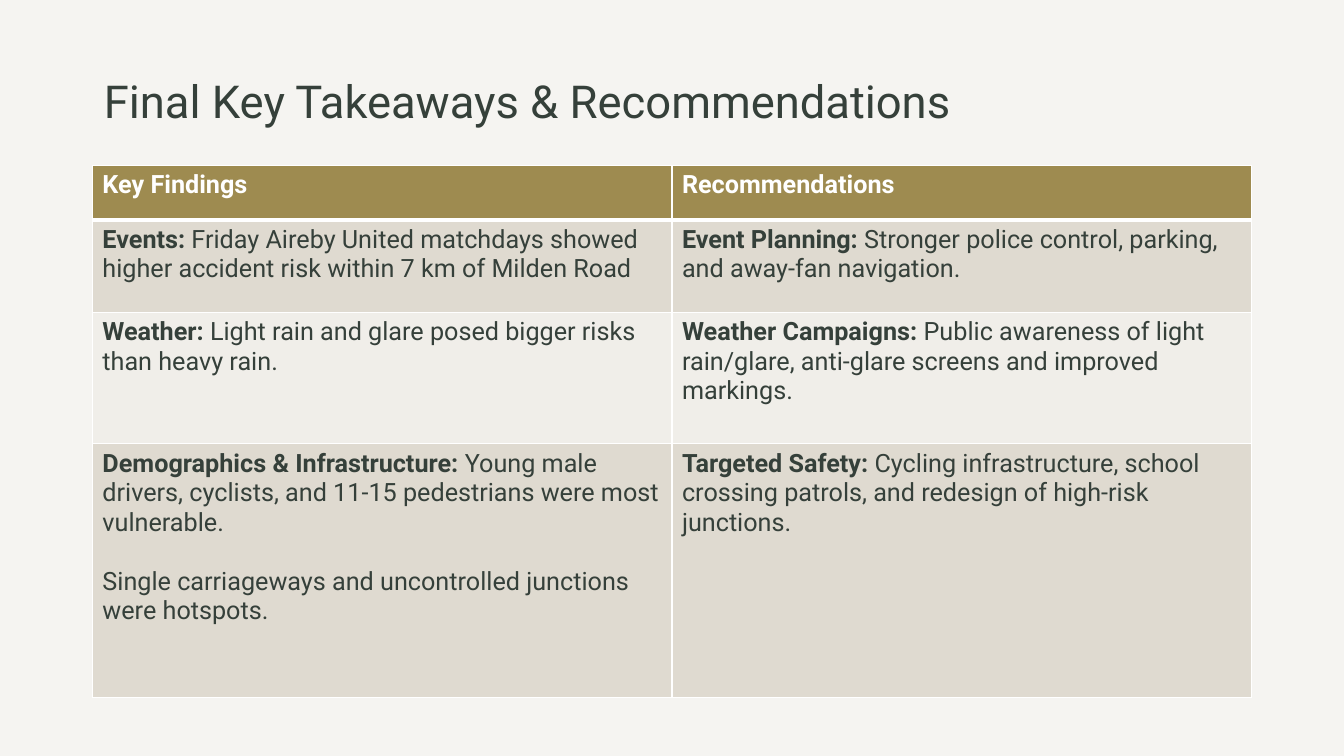
from lxml import etree
from pptx import Presentation
from pptx.dml.color import RGBColor
from pptx.enum import text
from pptx.oxml import ns
from pptx.util import Pt

COLORS = {
    "background": "F5F4F1",
    "text": "35403A",
    "white": "FFFFFF",
    "header": "9E8B50",
    "band_dark": "DFDAD0",
    "band_light": "F0EEE9",
}
FONT = "Roboto"
HEADINGS = ["Key Findings", "Recommendations"]
ROWS = [
    (
        [("Events:", " Friday Aireby United matchdays showed higher accident risk within 7 km of Milden Road")],
        [("Event Planning:", " Stronger police control, parking, and away-fan navigation.")],
    ),
    (
        [("Weather:", " Light rain and glare posed bigger risks than heavy rain.")],
        [("Weather Campaigns:", " Public awareness of light rain/glare, anti-glare screens and improved markings.")],
    ),
    (
        [
            ("Demographics & Infrastructure:", " Young male drivers, cyclists, and 11-15 pedestrians were most vulnerable."),
            ("", "Single carriageways and uncontrolled junctions were hotspots."),
        ],
        [("Targeted Safety:", " Cycling infrastructure, school crossing patrols, and redesign of high-risk junctions.")],
    ),
]
ROW_HEIGHTS = [39, 66, 94, 181]


def rgb(name):
    return RGBColor.from_string(COLORS[name])


def style_paragraph(p, size, color):
    p.font.name = FONT
    p.font.size = Pt(size)
    p.font.color.rgb = rgb(color)
    p.alignment = text.PP_ALIGN.LEFT


def set_borders(cell, widths):
    tcPr = cell._tc.get_or_add_tcPr()
    for i, (side, width) in enumerate(widths.items()):
        ln = etree.Element(ns.qn(f"a:ln{side}"), w=str(Pt(width)))
        fill = etree.SubElement(ln, ns.qn("a:solidFill"))
        etree.SubElement(fill, ns.qn("a:srgbClr"), val=COLORS["white"])
        tcPr.insert(i, ln)


def fill_cell(cell, paragraphs, fill, color):
    cell.fill.solid()
    cell.fill.fore_color.rgb = rgb(fill)
    tf = cell.text_frame
    for i, (label, detail) in enumerate(paragraphs):
        p = tf.add_paragraph() if i else tf.paragraphs[0]
        style_paragraph(p, 18, color)
        if i:
            p.space_before = Pt(21)
        for words, bold in ((label, True), (detail, False)):
            if words:
                r = p.add_run()
                r.text = words
                r.font.bold = bold


def add_title(s, left, top, width, height):
    sp = s.shapes.title
    sp.left, sp.top, sp.width, sp.height = map(Pt, (left, top, width, height))
    tf = sp.text_frame
    tf.text = "Final Key Takeaways & Recommendations"
    tf.auto_size = text.MSO_AUTO_SIZE.NONE
    tf.vertical_anchor = text.MSO_ANCHOR.BOTTOM
    tf.margin_bottom = Pt(1)
    style_paragraph(tf.paragraphs[0], 32.4, "text")


def add_findings_table(s, left, top, width, height):
    rows = [[[(heading, "")] for heading in HEADINGS], *ROWS]
    table = s.shapes.add_table(
        len(rows), len(HEADINGS), Pt(left), Pt(top), Pt(width), Pt(height)
    ).table
    for column in table.columns:
        column.width = Pt(width / len(HEADINGS))
    for i, (row, row_height) in enumerate(zip(rows, ROW_HEIGHTS)):
        table.rows[i].height = Pt(row_height)
        fill = "header" if i == 0 else "band_dark" if i % 2 else "band_light"
        color = "text" if i else "white"
        widths = {"L": 1, "R": 1, "T": 3 if i == 1 else 1, "B": 1 if i else 3}
        for j, paragraphs in enumerate(row):
            cell = table.cell(i, j)
            fill_cell(cell, paragraphs, fill, color)
            set_borders(cell, widths)


def main():
    prs = Presentation()
    prs.slide_width, prs.slide_height = Pt(960), Pt(540)
    s = prs.slides.add_slide(prs.slide_layouts[5])
    s.background.fill.solid()
    s.background.fill.fore_color.rgb = rgb("background")
    add_title(s, 67, 46, 827, 46)
    add_findings_table(s, 66, 118, 828, sum(ROW_HEIGHTS))
    prs.save("out.pptx")


if __name__ == "__main__":
    main()
